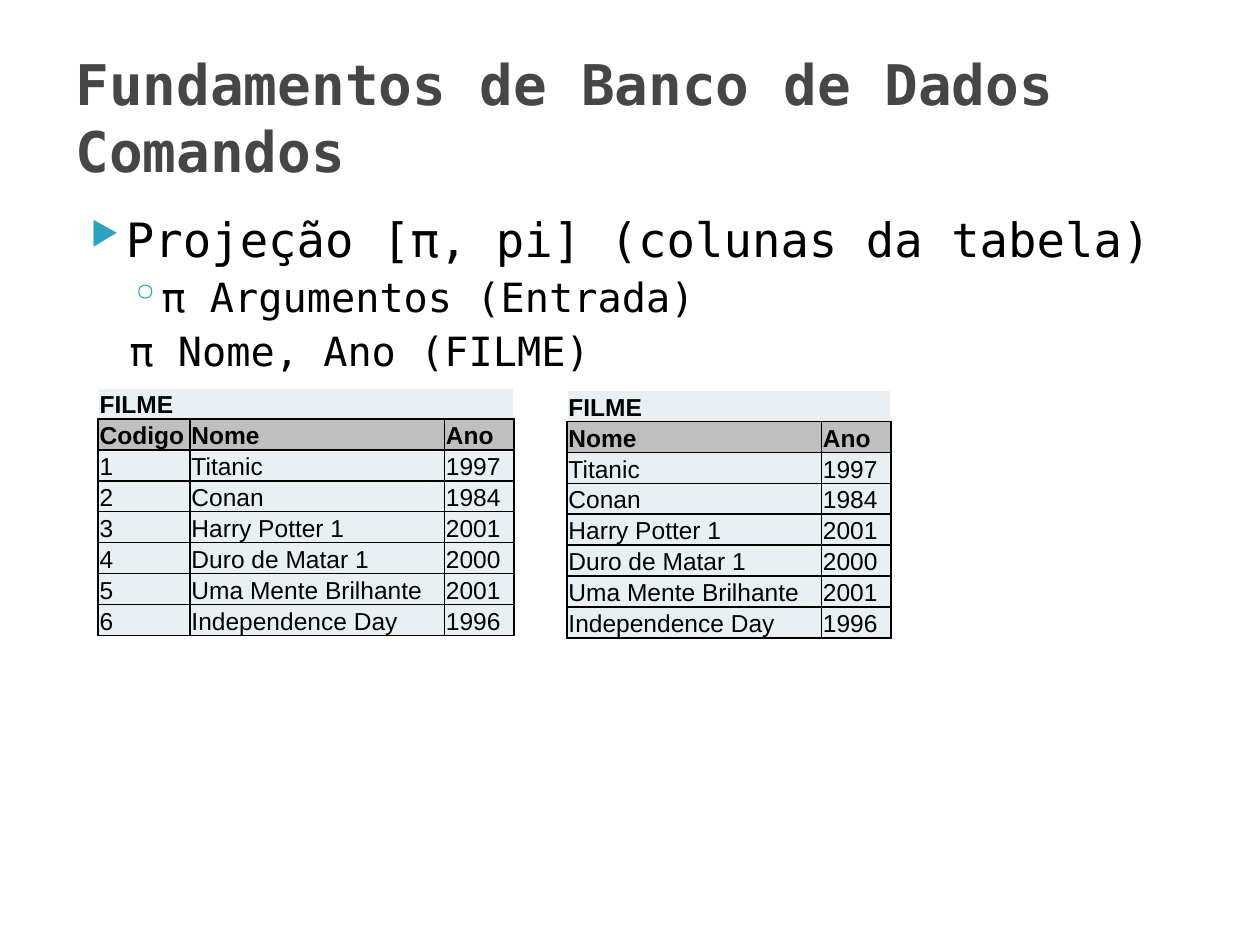
"""Build a slide on the projection command, with a film table before and after it."""
from dataclasses import dataclass

from lxml import etree
from pptx import Presentation
from pptx.dml.color import RGBColor
from pptx.enum.text import MSO_ANCHOR
from pptx.oxml.ns import qn
from pptx.util import Cm, Pt

MIDDLE, BOTTOM = MSO_ANCHOR.MIDDLE, MSO_ANCHOR.BOTTOM


@dataclass(frozen=True)
class Theme:
    mono: str = "DejaVu Sans Mono"
    sans: str = "Arial"
    black: str = "000000"
    white: str = "FFFFFF"
    gray: str = "464646"
    teal: str = "2DA2BF"
    head: str = "BFBFBF"
    pale: str = "E8F0F4"
    title: float = 32
    main: float = 27
    sub: float = 23
    cell: float = 14


THEME = Theme()

TITLE = "Fundamentos de Banco de Dados\vComandos"
# level, text, size, left margin, indent, space before, bullet, bullet percent
BODY = [
    (0, "Projeção [π, pi] (colunas da tabela)", THEME.main, 1.02, -0.71, 4, "▶", 68),
    (1, "π Argumentos (Entrada)", THEME.sub, 1.73, -0.64, 3.2, "◦", 100),
    (1, "π Nome, Ano (FILME)", THEME.sub, 1.09, 0, 3.2, None, None),
]
NAME = "FILME"
HEADS = ("Codigo", "Nome", "Ano")
FILMS = [
    ("1", "Titanic", "1997"),
    ("2", "Conan", "1984"),
    ("3", "Harry Potter 1", "2001"),
    ("4", "Duro de Matar 1", "2000"),
    ("5", "Uma Mente Brilhante", "2001"),
    ("6", "Independence Day", "1996"),
]
WIDTHS = (1.85, 5.13, 1.4)
ROW = 0.51
# left, top, first column shown
TABLES = [(1.98, 7.82, 0), (11.43, 7.87, 1)]


def style(para, face, size, color, bold=False):
    font = para.font
    font.name, font.size, font.bold = face, Pt(size), bold
    font.color.rgb = RGBColor.from_string(color)


def add_box(slide, left, top, width, height):
    frame = slide.shapes.add_textbox(Cm(left), Cm(top), Cm(width), Cm(height)).text_frame
    frame.word_wrap = True
    return frame


def add_mark(para, left, indent, mark, scale):
    props = para._p.get_or_add_pPr()
    props.set("marL", str(Cm(left)))
    props.set("indent", str(Cm(indent)))
    if mark is None:
        etree.SubElement(props, qn("a:buNone"))
        return
    tint = etree.SubElement(props, qn("a:buClr"))
    etree.SubElement(tint, qn("a:srgbClr"), val=THEME.teal)
    etree.SubElement(props, qn("a:buSzPct"), val=str(scale * 1000))
    etree.SubElement(props, qn("a:buChar"), char=mark)


def add_edges(cell, outer):
    props = cell._tc.get_or_add_tcPr()
    for side in "LRTB":
        color = THEME.black if side == "B" else outer
        line = etree.SubElement(props, qn("a:ln" + side), w=str(Pt(1)))
        fill = etree.SubElement(line, qn("a:solidFill"))
        etree.SubElement(fill, qn("a:srgbClr"), val=color)


def fill_cell(cell, text, row):
    add_edges(cell, THEME.black if row else THEME.white)
    cell.margin_left = cell.margin_right = cell.margin_top = Cm(0.03)
    cell.margin_bottom = 0
    cell.vertical_anchor = BOTTOM
    cell.fill.solid()
    cell.fill.fore_color.rgb = RGBColor.from_string(THEME.head if row == 1 else THEME.pale)
    cell.text = text
    style(cell.text_frame.paragraphs[0], THEME.sans, THEME.cell, THEME.black, row < 2)


def add_films(slide, left, top, first):
    widths = WIDTHS[first:]
    blanks = ("",) * (len(widths) - 1)
    rows = [(NAME, *blanks)] + [row[first:] for row in (HEADS, *FILMS)]
    shape = slide.shapes.add_table(len(rows), len(widths), Cm(left), Cm(top),
                                   Cm(sum(widths)), Cm(ROW * len(rows)))
    table = shape.table
    table.first_row = table.horz_banding = False
    for col, width in zip(table.columns, widths):
        col.width = Cm(width)
    for r, row in enumerate(rows):
        for c, text in enumerate(row):
            fill_cell(table.cell(r, c), text, r)
    table.cell(0, 0).merge(table.cell(0, len(widths) - 1))
    shape.height = Cm(4.9)


deck = Presentation()
deck.slide_width, deck.slide_height = Cm(25.4), Cm(19.05)
slide = deck.slides.add_slide(deck.slide_layouts[6])

body = add_box(slide, 1.27, 4.11, 22.86, 12.57)
for i, (level, text, size, left, indent, gap, mark, scale) in enumerate(BODY):
    para = body.add_paragraph() if i else body.paragraphs[0]
    para.text, para.level = text, level
    add_mark(para, left, indent, mark, scale)
    para.space_before = Pt(gap)
    style(para, THEME.mono, size, THEME.black)

title = add_box(slide, 1.27, 0.76, 22.86, 3.18)
title.vertical_anchor = MIDDLE
title.text = TITLE
style(title.paragraphs[0], THEME.mono, THEME.title, THEME.gray, True)

for left, top, first in TABLES:
    add_films(slide, left, top, first)

deck.save("out.pptx")
